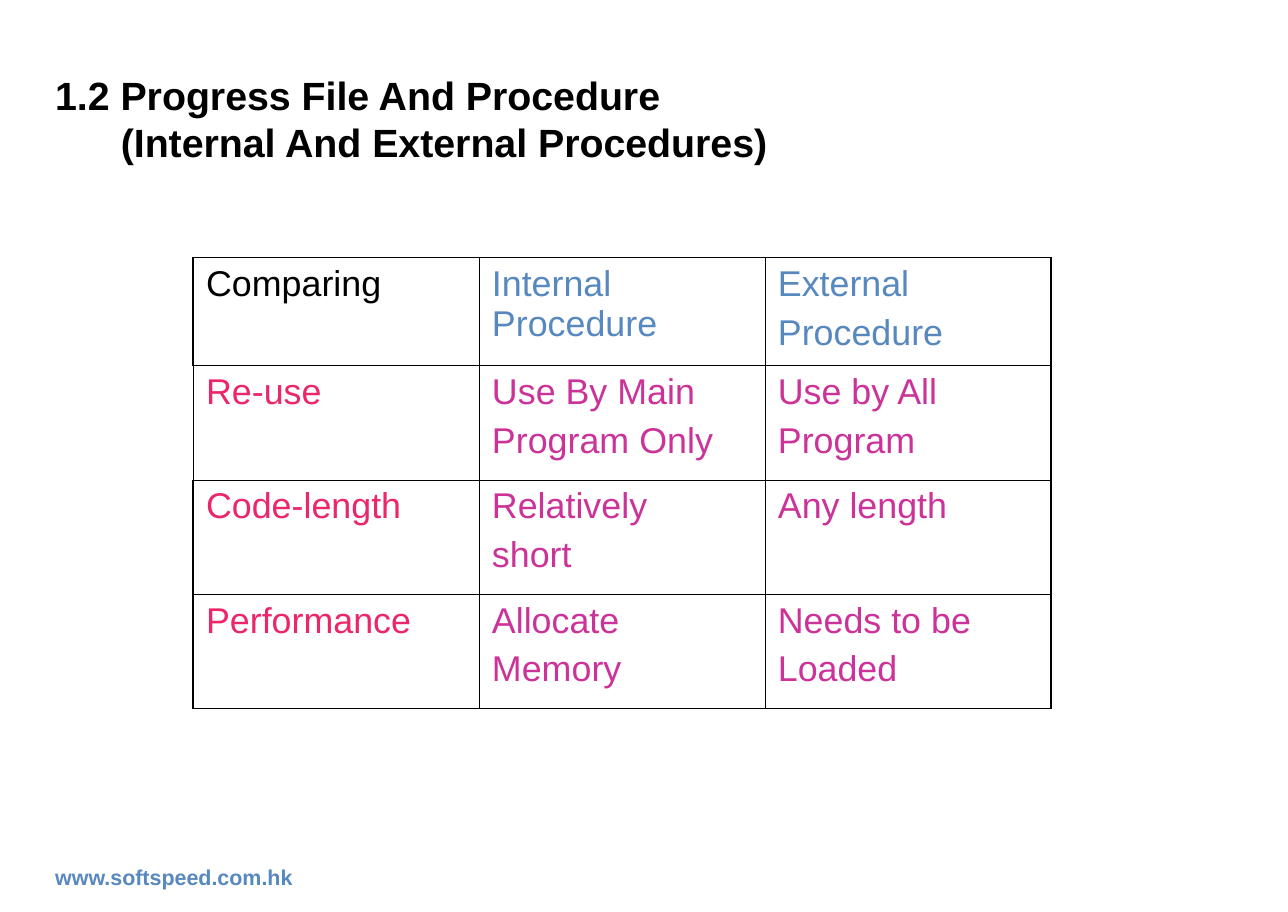
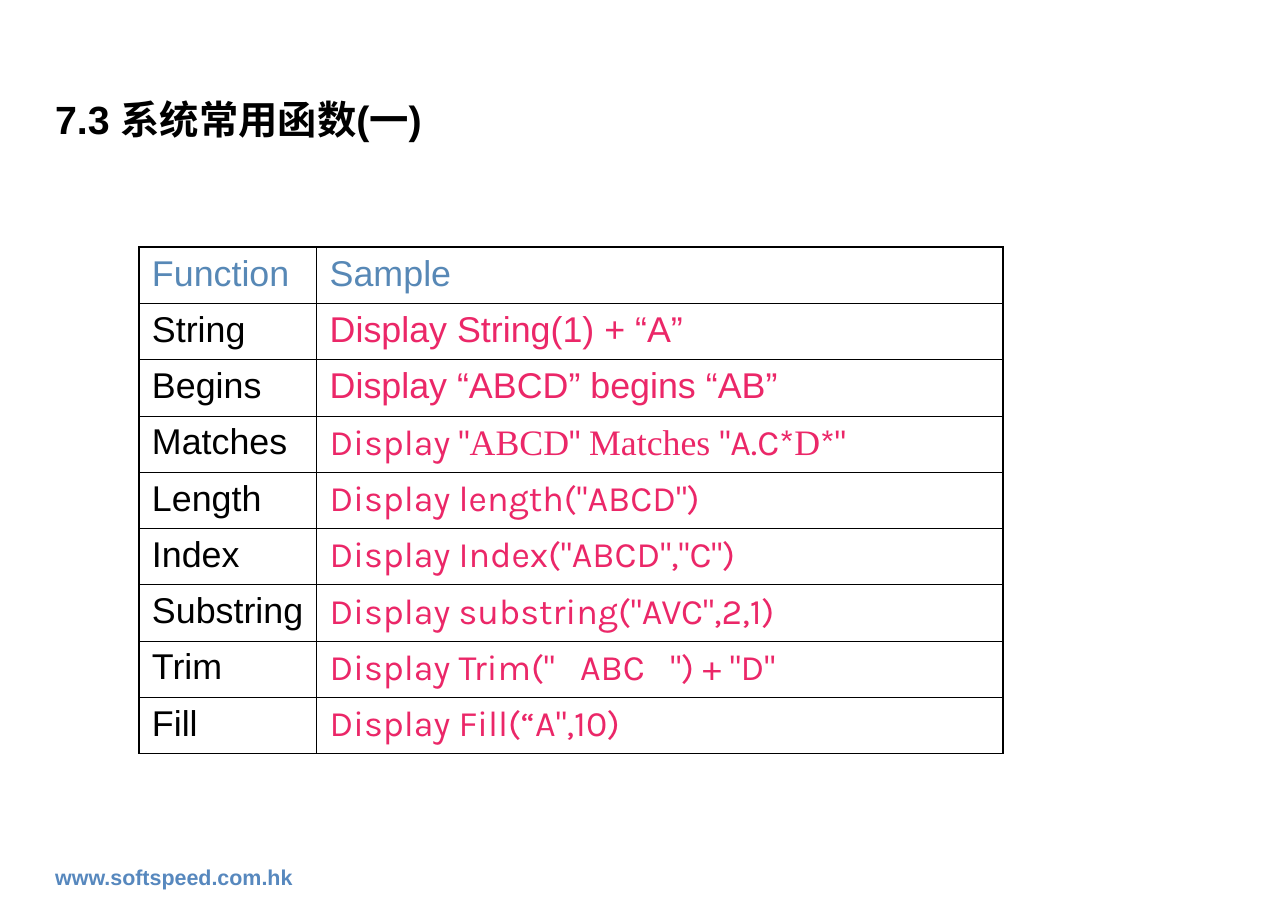
from dataclasses import dataclass

from lxml import etree
from pptx import Presentation
from pptx.dml.color import RGBColor
from pptx.enum.text import MSO_ANCHOR
from pptx.oxml.ns import qn
from pptx.util import Inches, Pt

MIDDLE = MSO_ANCHOR.MIDDLE
TOP = MSO_ANCHOR.TOP


@dataclass(frozen=True)
class Theme:
    black: str = "000000"
    blue: str = "5788BE"
    steel: str = "5788B6"
    pink: str = "EB2768"
    plum: str = "CC3399"
    sans: str = "Arial"
    code: str = "Karla"
    serif: str = "Times New Roman"
    title: float = 22
    body: float = 20
    foot: float = 12
    gap: float = 5
    thick: float = 1.08
    thin: float = 0.45


T = Theme()


def style(font, color, size, name=T.sans, bold=False):
    look = {"name": name, "size": Pt(size), "bold": bold}
    for key, value in look.items():
        setattr(font, key, value)
    font.color.rgb = RGBColor.from_string(color)


def label(slide, box, text, color, size, anchor, hang=0):
    """Bold line of text; hang indents the lines after the first."""
    frame = slide.shapes.add_textbox(*map(Inches, box)).text_frame
    frame.word_wrap = True
    frame.vertical_anchor = anchor
    para = frame.paragraphs[0]
    para.text = text
    if hang:
        props = para._p.get_or_add_pPr()
        props.set("marL", str(Inches(hang)))
        props.set("indent", str(-Inches(hang)))
    for run in para.runs:
        style(run.font, color, size, bold=True)


def base(deck, title, width, hang=0):
    """Slide with the shared title and footer."""
    slide = deck.slides.add_slide(deck.slide_layouts[6])
    label(slide, (0.33, 6.66, 3.42, 0.3), "www.softspeed.com.hk",
          T.blue, T.foot, TOP)
    label(slide, (0.33, 0.67, width, 0.5), title,
          T.black, T.title, MIDDLE, hang)
    return slide


def edges(cell, widths):
    props = cell._tc.get_or_add_tcPr()
    for side, width in zip("LRTB", widths):
        line = etree.SubElement(props, qn(f"a:ln{side}"), w=str(Pt(width)))
        fill = etree.SubElement(line, qn("a:solidFill"))
        etree.SubElement(fill, qn("a:srgbClr"), val=T.black)


def write(cell, text, color, font):
    """Each line is a paragraph; a tuple holds runs with their own fonts."""
    frame = cell.text_frame
    lines = [text] if isinstance(text, tuple) else text.split("\n")
    for i, line in enumerate(lines):
        para = frame.add_paragraph() if i else frame.paragraphs[0]
        if i:
            para.space_before = Pt(T.gap)
        runs = line if isinstance(line, tuple) else ((line, font),)
        for words, name in runs:
            run = para.add_run()
            run.text = words
            style(run.font, color, T.body, name)


def grid(slide, box, cols, head, rows, paint, light=()):
    """Table with a thick frame; rows in light keep a thin left edge."""
    count, wide = len(rows), len(cols)
    table = slide.shapes.add_table(count, wide, *map(Inches, box)).table
    table.first_row = table.horz_banding = False
    for col, width in zip(table.columns, cols):
        col.width = Inches(width)
    rest = (box[3] - head) / (count - 1)
    for r, items in enumerate(rows):
        table.rows[r].height = Inches(rest if r else head)
        for c, text in enumerate(items):
            cell = table.cell(r, c)
            outer = (c == 0 and r not in light, c == wide - 1,
                     r == 0, r == count - 1)
            edges(cell, [T.thick if out else T.thin for out in outer])
            cell.fill.background()
            write(cell, text, *paint(r, c))


def compare(deck):
    slide = base(deck, "1.2 Progress File And Procedure\v"
                 "(Internal And External Procedures)", 6.08, 0.51)
    rows = [
        ("Comparing", "Internal Procedure", "External\nProcedure"),
        ("Re-use", "Use By Main\nProgram Only", "Use by All\nProgram"),
        ("Code-length", "Relatively\nshort", "Any length"),
        ("Performance", "Allocate\nMemory", "Needs to be\nLoaded"),
    ]

    def paint(r, c):
        first, other = (T.pink, T.plum) if r else (T.black, T.blue)
        return (other if c else first), T.sans

    grid(slide, (1.5, 2, 6.66, 3.5), [2.22] * 3, 0.84, rows, paint, (1,))


def samples(deck):
    slide = base(deck, "7.3 系统常用函数(一)", 7.67)
    match = (('Display "', T.code), ("ABCD", T.serif), ('"', T.code),
             (" Matches ", T.serif), ('"A.C*', T.code), ("D", T.serif),
             ('*"', T.code))
    rows = [
        ("Function", "Sample"),
        ("String", "Display String(1) + “A”"),
        ("Begins", "Display “ABCD” begins “AB”"),
        ("Matches", match),
        ("Length", 'Display length("ABCD")'),
        ("Index", 'Display Index("ABCD","C")'),
        ("Substring", 'Display substring("AVC",2,1)'),
        ("Trim", 'Display Trim("   ABC   ") + "D"'),
        ("Fill", 'Display Fill(“A",10)'),
    ]

    def paint(r, c):
        color = (T.pink if c else T.black) if r else T.steel
        return color, T.code if c and r > 2 else T.sans

    tall = 3.93
    grid(slide, (1.08, 1.92, 6.71, tall), [1.38, 5.33],
         tall / len(rows), rows, paint)


def main():
    deck = Presentation()
    deck.slide_width, deck.slide_height = Inches(10), Inches(7.08)
    compare(deck)
    samples(deck)
    deck.save("out.pptx")


if __name__ == "__main__":
    main()
